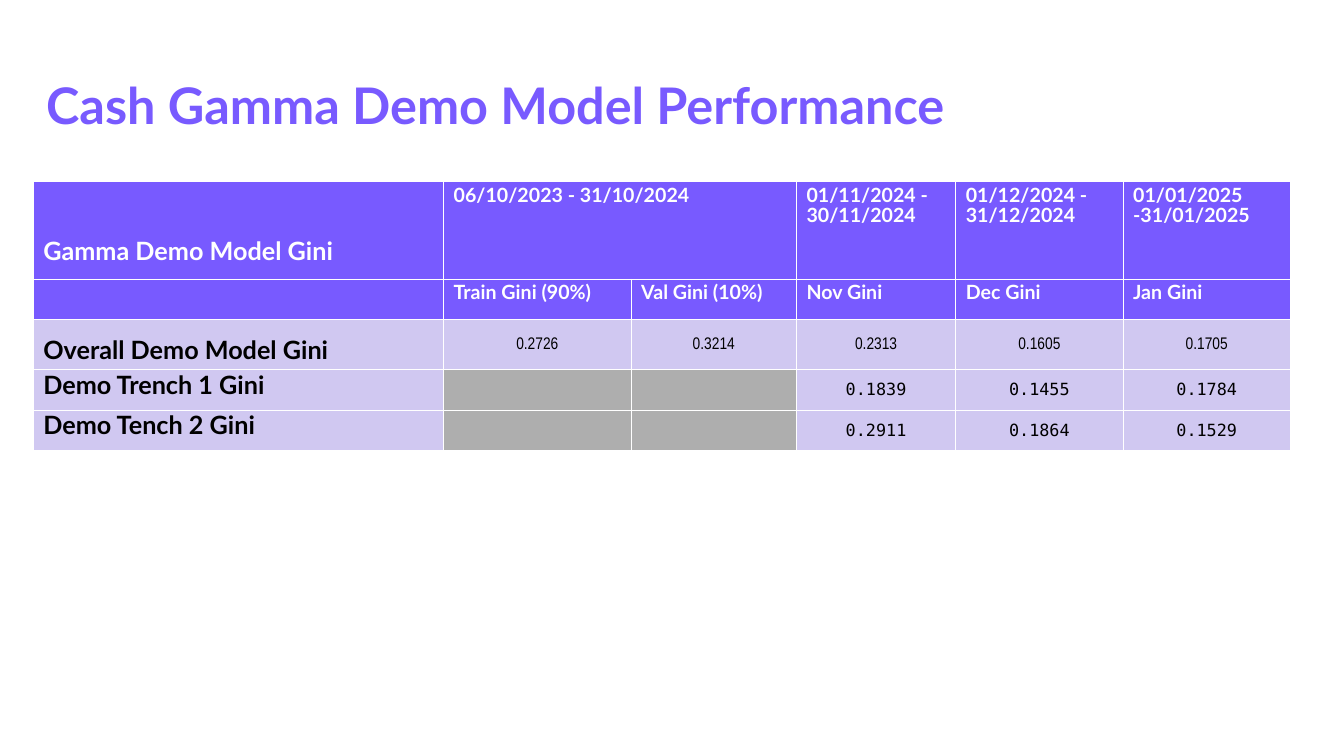
import pptx
import pptx.dml.color
import pptx.enum.text
import pptx.oxml
import pptx.oxml.ns
import pptx.util
from pptx.util import Inches

COLORS = {"violet": "785AFF", "lilac": "D0C8F1", "gray": "AEAEAE",
          "white": "FFFFFF", "black": "000000"}
ALIGN = pptx.enum.text.PP_ALIGN
MIDDLE = pptx.enum.text.MSO_ANCHOR.MIDDLE


def rgb(name):
    return pptx.dml.color.RGBColor.from_string(COLORS[name])


def write(tf, text, size=18, color="black", font="Lato", bold=True,
          align=ALIGN.LEFT, spacing=None):
    p = tf.paragraphs[0]
    p.alignment = align
    if spacing:
        p.line_spacing = spacing
    if text:
        r = p.add_run()
        r.text = text
        r.font.name, r.font.size, r.font.bold = font, pptx.util.Pt(size), bold
        r.font.color.rgb = rgb(color)


class Deck:
    line = pptx.util.Pt(14.2)

    def __init__(self):
        self.prs = pptx.Presentation()
        self.prs.slide_width, self.prs.slide_height = Inches(13.33), Inches(7.5)
        self.s = self.prs.slides.add_slide(self.prs.slide_layouts[6])

    def title(self, text, x, y, w, h):
        sp = self.s.shapes.add_textbox(Inches(x), Inches(y), Inches(w), Inches(h))
        tf = sp.text_frame
        tf.word_wrap = True
        tf.vertical_anchor = MIDDLE
        write(tf, text, size=36, color="violet", spacing=0.9)

    def table(self, x, y, widths, heights):
        frame = self.s.shapes.add_table(
            len(heights), len(widths), Inches(x), Inches(y),
            Inches(sum(widths)), Inches(sum(heights)))
        for col, w in zip(frame.table.columns, widths):
            col.width = Inches(w)
        for row, h in zip(frame.table.rows, heights):
            row.height = Inches(h)
        return frame.table

    def cell(self, cell, text, fill, top=0.05, anchor=None, inset=None, **fmt):
        self.borders(cell)
        cell.fill.solid()
        cell.fill.fore_color.rgb = rgb(fill)
        cell.margin_top = Inches(top)
        if inset is not None:
            cell.margin_left = cell.margin_right = cell.margin_top = Inches(inset)
            cell.margin_bottom = 0
        if anchor is not None:
            cell.vertical_anchor = anchor
        write(cell.text_frame, text, **{"spacing": self.line, **fmt})

    def borders(self, cell):
        tc_pr = cell._tc.get_or_add_tcPr()
        for side in "LRTB":
            tc_pr.append(pptx.oxml.parse_xml(
                f'<a:ln{side} {pptx.oxml.ns.nsdecls("a")} w="6350"><a:solidFill>'
                f'<a:srgbClr val="{COLORS["white"]}"/></a:solidFill></a:ln{side}>'))


HEADERS = [
    ["Gamma Demo Model Gini", "06/10/2023 - 31/10/2024", "",
     "01/11/2024 - 30/11/2024", "01/12/2024 - 31/12/2024", "01/01/2025 -31/01/2025"],
    ["", "Train Gini (90%)", "Val Gini (10%)", "Nov Gini", "Dec Gini", "Jan Gini"],
]
RESULTS = [
    ["Overall Demo Model Gini", "0.2726", "0.3214", "0.2313", "0.1605", "0.1705"],
    ["Demo Trench 1 Gini", "", "", "0.1839", "0.1455", "0.1784"],
    ["Demo Tench 2 Gini", "", "", "0.2911", "0.1864", "0.1529"],
]


def main():
    deck = Deck()
    deck.title("Cash Gamma Demo Model Performance", 0.36, 0.69, 9.83, 0.76)
    table = deck.table(0.33, 1.8, [4.07, 1.86, 1.64, 1.58, 1.66, 1.66],
                       [0.97, 0.39, 0.49, 0.38, 0.38])

    # Header rows
    for i, row in enumerate(HEADERS):
        for j, text in enumerate(row):
            corner = i == j == 0
            deck.cell(table.cell(i, j), text, "violet", color="white",
                      size=18 if corner else 14, top=0.64 if corner else 0.05)
    table.cell(0, 1).merge(table.cell(0, 2))

    # Result rows: the overall row has its own number style
    overall = dict(font="Arial Narrow", inset=0.01, spacing=None)
    trench = dict(font="DejaVu Sans Mono")
    for i, (label, *values) in enumerate(RESULTS):
        row = i + len(HEADERS)
        deck.cell(table.cell(row, 0), label, "lilac", anchor=MIDDLE,
                  top=0.25 if i == 0 else 0.05)
        for j, value in enumerate(values, 1):
            deck.cell(table.cell(row, j), value, "lilac" if value else "gray",
                      anchor=MIDDLE, size=12, bold=False, align=ALIGN.CENTER,
                      **(trench if i else overall))

    deck.prs.save("out.pptx")


if __name__ == "__main__":
    main()
